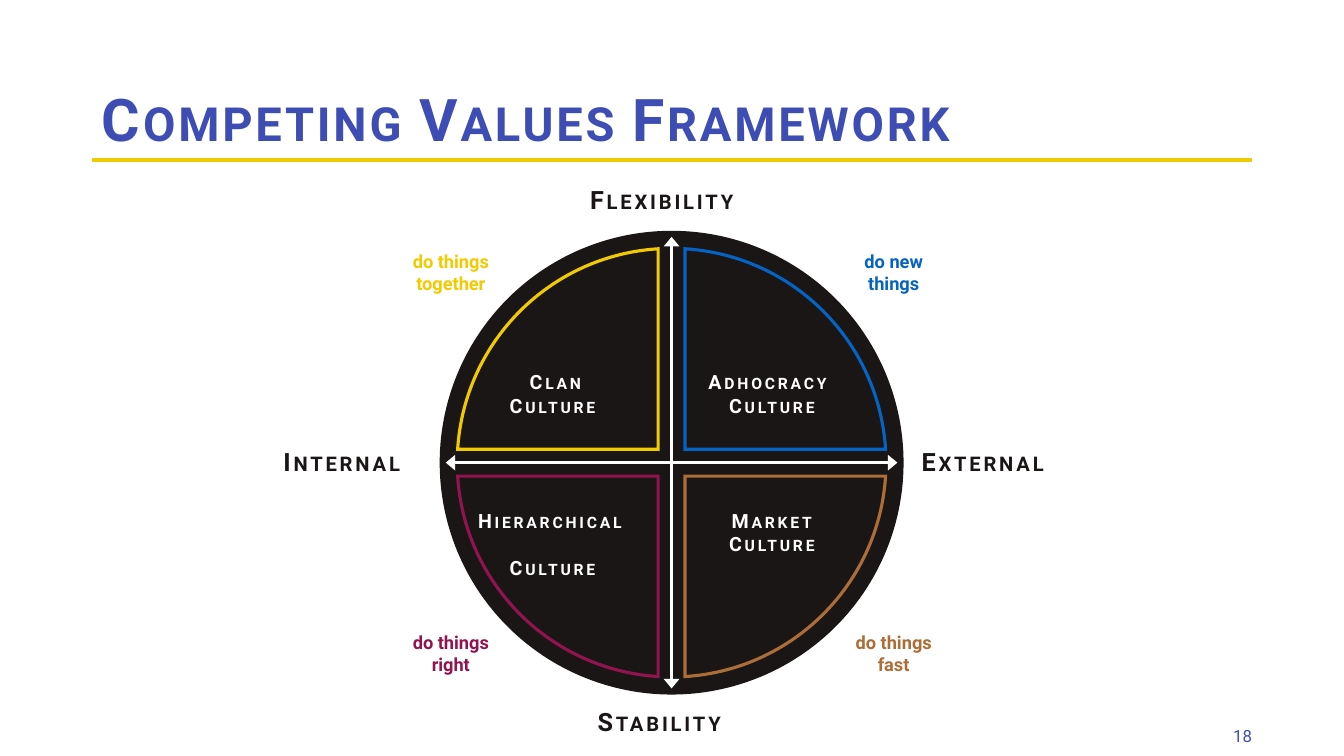
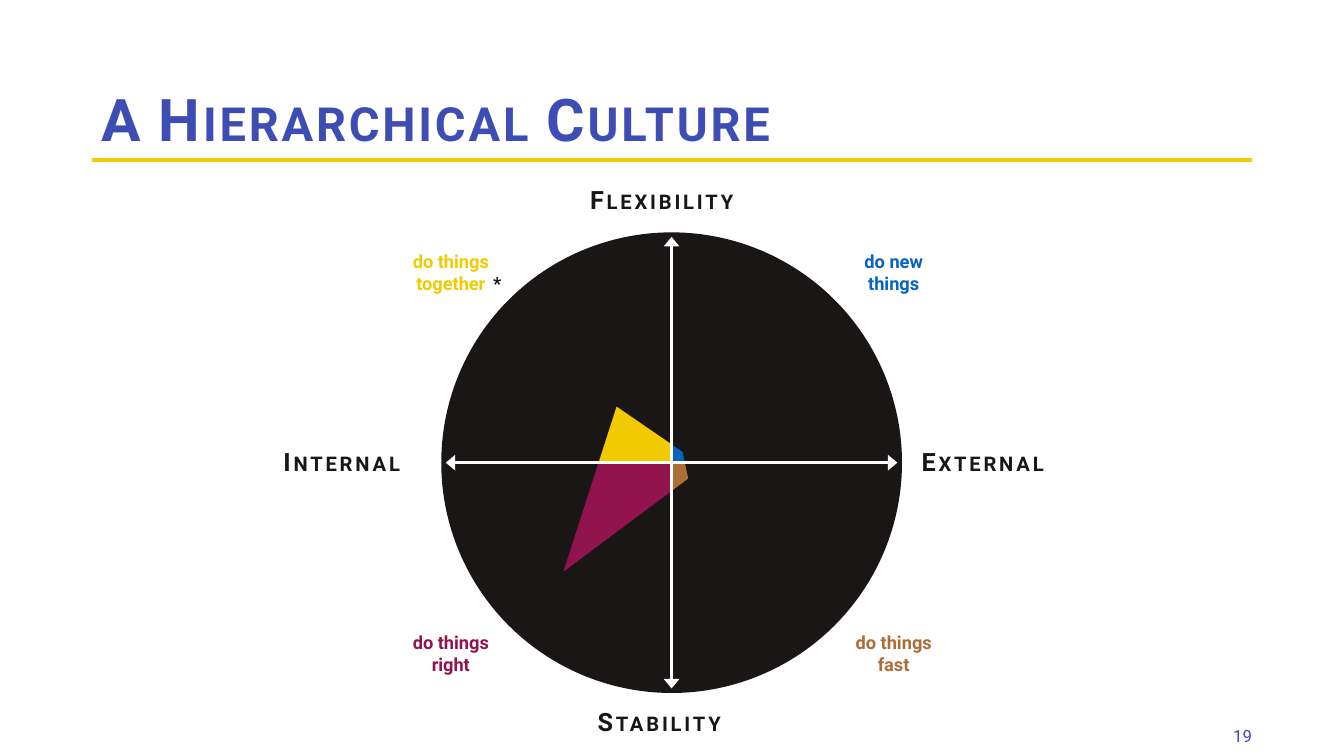
from copy import deepcopy
from dataclasses import dataclass
from math import asin, cos, pi, sin, tan

from pptx import Presentation
from pptx import util as u
from pptx.dml.color import RGBColor
from pptx.enum import shapes, text
from pptx.oxml import ns, parse_xml


@dataclass(frozen=True)
class Theme:
    font: str = "Roboto"
    ink: str = "1A1616"
    paper: str = "FFFFFF"
    title: str = "3E4DB4"
    yellow: str = "F1CA00"
    blue: str = "0563C1"
    purple: str = "91144E"
    brown: str = "AD6D37"
    title_size: int = 42
    axis_size: int = 18
    culture_size: int = 14
    motto_size: int = 13
    number_size: int = 12


theme = Theme()
TOP, MIDDLE, BOTTOM = text.MSO_ANCHOR.TOP, text.MSO_ANCHOR.MIDDLE, text.MSO_ANCHOR.BOTTOM
LEFT, CENTER, RIGHT = text.PP_ALIGN.LEFT, text.PP_ALIGN.CENTER, text.PP_ALIGN.RIGHT

presentation = Presentation()
presentation.slide_width = u.Inches(13.33)
presentation.slide_height = u.Inches(7.5)

# The grid has 100 columns and 100 rows.
column = presentation.slide_width / 100
row = presentation.slide_height / 100
center_x, center_y = 49.97 * column, 61.2 * row
disc_radius, axis_reach = 17.14 * column, 16.8 * column
wedge_radius, wedge_gap = 15.95 * column, column
margin = 6.83


def add_text(slide, words, box, size, color, align=CENTER, anchor=MIDDLE,
             bold=True, small_caps=False, grow=True, line_spacing=None):
    """Place text in a box given as left, top, width, height in grid columns and rows."""
    left, top, width, height = box
    shape = slide.shapes.add_textbox(*map(round, (
        left * column, top * row, width * column, height * row)))
    fit = text.MSO_AUTO_SIZE.SHAPE_TO_FIT_TEXT if grow else text.MSO_AUTO_SIZE.NONE
    frame = shape.text_frame
    for name, value in {"word_wrap": True, "auto_size": fit, "vertical_anchor": anchor}.items():
        setattr(frame, name, value)
    paragraph = frame.paragraphs[0]
    paragraph.text = words
    paragraph.alignment = align
    if line_spacing:
        paragraph.line_spacing = line_spacing
    for run in paragraph.runs:
        for name, value in {"name": theme.font, "size": u.Pt(size), "bold": bold}.items():
            setattr(run.font, name, value)
        run.font.color.rgb = RGBColor.from_string(color)
        properties = run._r.get_or_add_rPr()
        if small_caps:
            properties.set("cap", "small")
            properties.set("spc", "200")
    for line_break in paragraph._p.findall(ns.qn("a:br")):
        line_break.append(deepcopy(properties))


def add_outline(slide, offsets, color, line_width, filled, curved=False):
    """Draw a closed outline through offsets from the disc's center.

    With curved, the last three points are the controls and the end of one Bezier curve.
    """
    points = [(round(center_x + x), round(center_y + y)) for x, y in offsets]
    builder = slide.shapes.build_freeform(*points[0])
    builder.add_line_segments(points[1:], close=True)
    shape = builder.convert_to_shape()
    shape.shadow.inherit = False
    if filled:
        shape.fill.solid()
        shape.fill.fore_color.rgb = RGBColor.from_string(color)
    else:
        shape.fill.background()
    shape.line.color.rgb = RGBColor.from_string(color)
    shape.line.width = u.Pt(line_width)
    properties = shape._element.spPr
    properties.find(ns.qn("a:ln")).append(
        parse_xml(f'<a:miter {ns.nsdecls("a")} lim="800000"/>'))
    if curved:
        segments = list(properties.iter(ns.qn("a:lnTo")))[-3:]
        curve = parse_xml(f'<a:cubicBezTo {ns.nsdecls("a")}/>')
        segments[0].addprevious(curve)
        for segment in segments:
            curve.append(segment[0])
            segment.getparent().remove(segment)


axis_labels = [
    ("Flexibility", 43.17, 23.7, CENTER, BOTTOM),
    ("Stability", 43.17, 92.8, CENTER, TOP),
    ("Internal", 18.53, 58.4, RIGHT, MIDDLE),
    ("External", 67.83, 58.4, LEFT, MIDDLE),
]
# Clockwise from the upper left: side, level, color, motto, culture, score in columns
quadrants = [
    (-1, -1, theme.yellow, "do things together", "Clan\vCulture", 4.05),
    (1, -1, theme.blue, "do new things", "Adhocracy\vCulture", 0.75),
    (1, 1, theme.brown, "do things fast", "Market\vCulture", 1.15),
    (-1, 1, theme.purple, "do things right", "Hierarchical\vCulture", 7.9),
]
rule_y = 21.2 * row
lines = [
    ((margin * column, rule_y), ((100 - margin) * column, rule_y), theme.yellow, 3, False),
    ((center_x, center_y - axis_reach), (center_x, center_y + axis_reach), theme.paper, 2.25, True),
    ((center_x + axis_reach, center_y), (center_x - axis_reach, center_y), theme.paper, 2.25, True),
]
slides = [("Competing Values Framework", False), ("A Hierarchical Culture", True)]

# A wedge in the lower right quadrant: corner, start of the arc, two controls, end
start = asin(wedge_gap / wedge_radius)
handle = 4 / 3 * tan((pi / 2 - 2 * start) / 4)
far, near = wedge_radius * cos(start), wedge_gap
pull_far, pull_near = far - handle * near, near + handle * far
wedge = [(near, near), (far, near), (pull_far, pull_near), (pull_near, pull_far), (near, far)]

for number, (title, shows_profile) in enumerate(slides, start=18):
    slide = presentation.slides.add_slide(presentation.slide_layouts[6])
    add_text(slide, title, (margin, 5.6, 100 - 2 * margin, 15.47), theme.title_size, theme.title,
             LEFT, BOTTOM, small_caps=True, grow=False, line_spacing=0.9)
    add_text(slide, str(number), (71.93, 94.67, 21.97, 5.33), theme.number_size, theme.title,
             RIGHT, bold=False, grow=False)

    disc = slide.shapes.add_shape(shapes.MSO_SHAPE.OVAL, *map(round, (
        center_x - disc_radius, center_y - disc_radius, 2 * disc_radius, 2 * disc_radius)))
    disc.shadow.inherit = False
    disc.fill.solid()
    disc.fill.fore_color.rgb = RGBColor.from_string(theme.ink)
    if shows_profile:
        disc.line.fill.background()
    else:
        disc.line.color.rgb = RGBColor.from_string(theme.ink)
        disc.line.width = u.Pt(2.25)

    for label, left, top, align, anchor in axis_labels:
        add_text(slide, label, (left, top, 13.65, 5.33), theme.axis_size, theme.ink,
                 align, anchor, small_caps=True)

    for index, (side, level, color, motto, culture, score) in enumerate(quadrants):
        add_text(slide, motto, (29.15 if side < 0 else 62.1, 32.3 if level < 0 else 82.75, 8.78, 7.33),
                 theme.motto_size, color)
        if shows_profile:
            # The profile's edges cross each axis between two neighboring scores.
            crossings = []
            for neighbor in (quadrants[index - 1], quadrants[(index + 1) % 4]):
                reach = 2 * score * neighbor[5] / (score + neighbor[5]) * column
                same_side = neighbor[0] == side
                crossings.append((side * reach, 0) if same_side else (0, level * reach))
            tip = (side * score * column, level * score * column)
            add_outline(slide, [(0, 0), crossings[0], tip, crossings[1]], color, 1.5, True)
        else:
            add_outline(slide, [(side * x, level * y) for x, y in wedge], color, 2.25, False,
                        curved=True)
            add_text(slide, culture,
                     (34.83 if side < 0 else 51.15, 48.23 if level < 0 else 66.63, 14.03, 7.6),
                     theme.culture_size, theme.paper,
                     anchor=BOTTOM if level < 0 else TOP, small_caps=True)

    for begin, end, color, width, has_arrows in lines:
        connector = slide.shapes.add_connector(
            shapes.MSO_CONNECTOR.STRAIGHT, *map(round, begin + end))
        connector.line.color.rgb = RGBColor.from_string(color)
        connector.line.width = u.Pt(width)
        properties = connector._element.spPr
        if has_arrows:
            for tag in ("headEnd", "tailEnd"):
                properties.find(ns.qn("a:ln")).append(
                    parse_xml(f'<a:{tag} {ns.nsdecls("a")} type="triangle" w="lg" len="med"/>'))
        properties.append(parse_xml(f'<a:effectLst {ns.nsdecls("a")}/>'))

    if shows_profile:
        add_text(slide, "*", (35.5, 35.33, 3, 4.4), theme.motto_size, theme.ink)

presentation.save("out.pptx")
